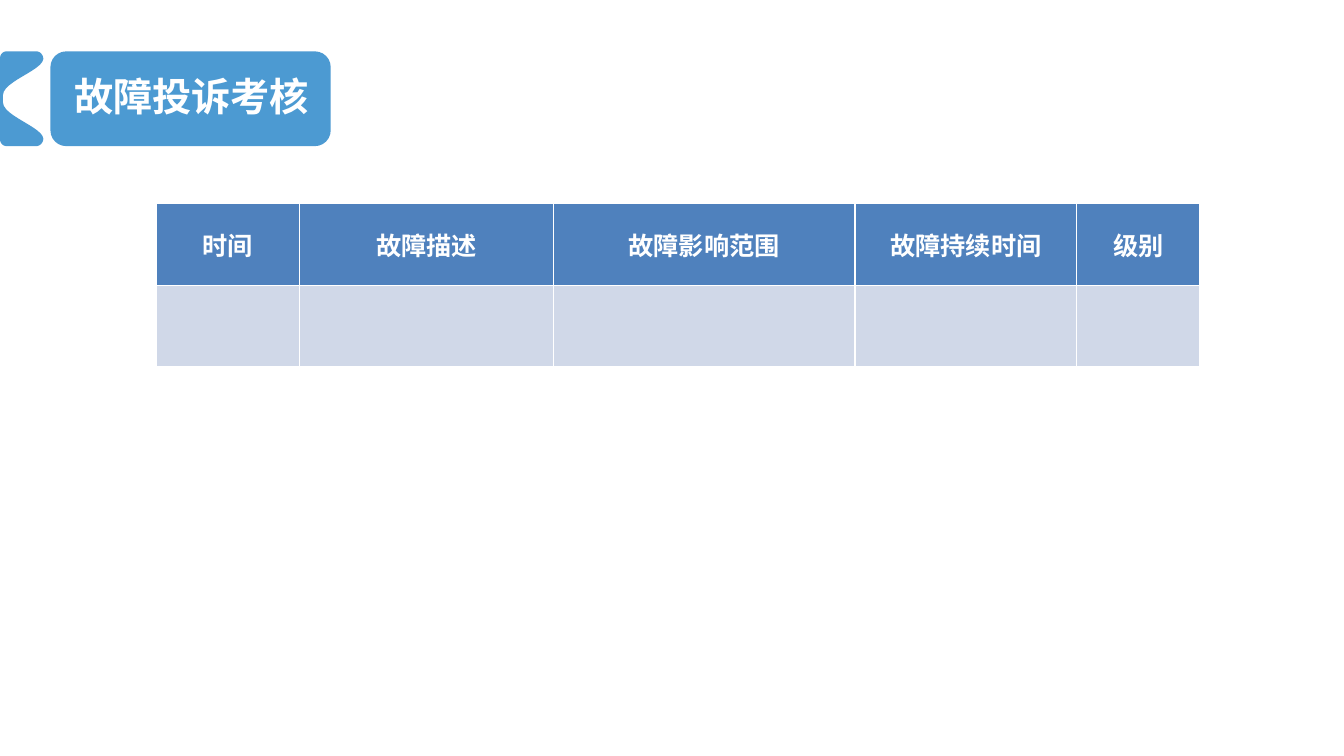
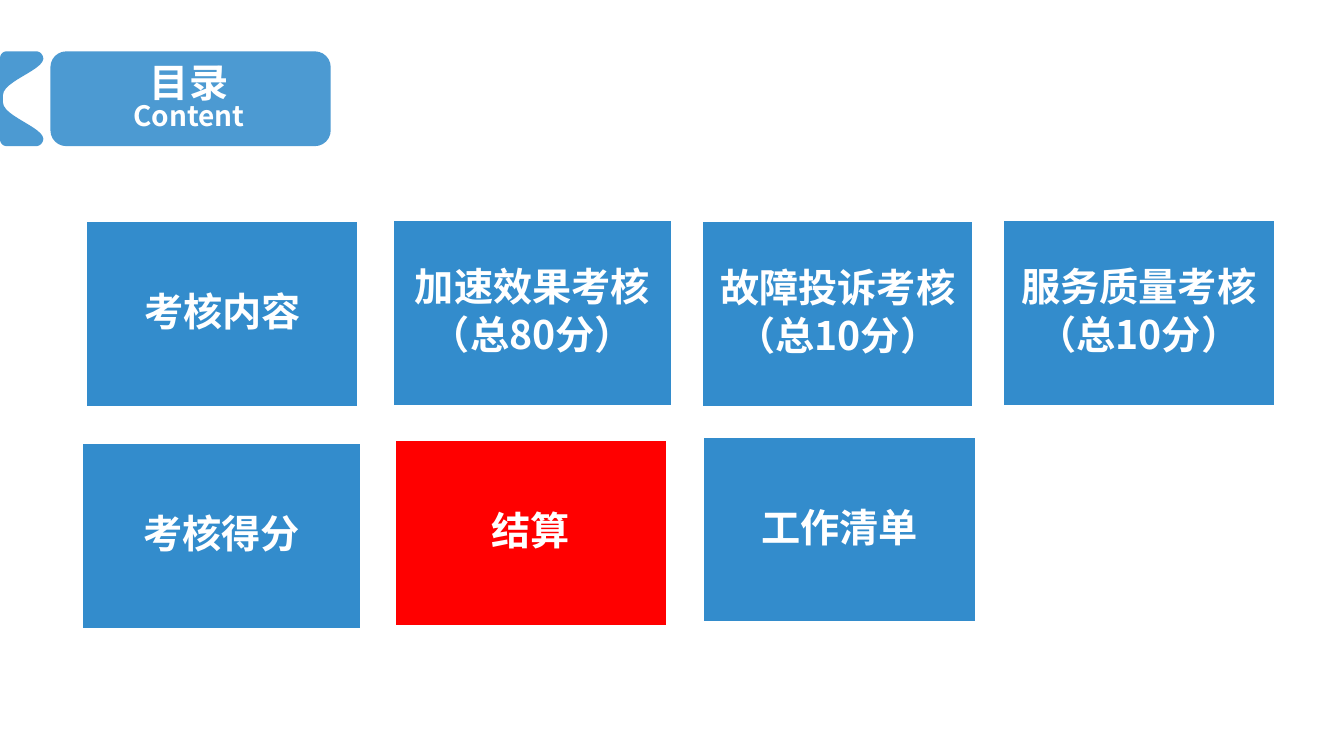
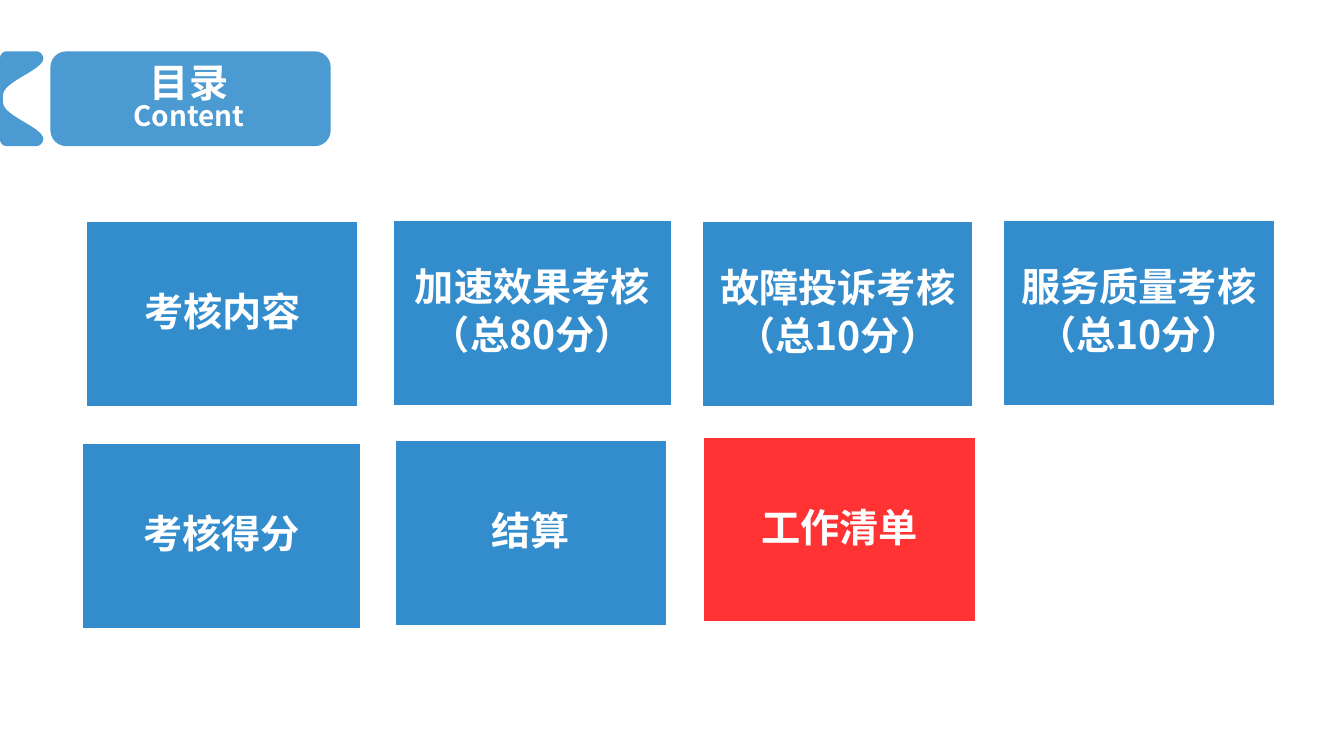
from lxml.etree import SubElement
from pptx import Presentation
from pptx.dml.color import RGBColor as RGB
from pptx.enum.shapes import MSO_SHAPE as SHAPE
from pptx.enum.text import MSO_ANCHOR as ANCHOR, PP_ALIGN as ALIGN
from pptx.oxml.ns import qn
from pptx.util import Inches, Pt

BLUE = RGB(0x00, 0x70, 0xC0)
RED = RGB(0xFF, 0x00, 0x00)
WHITE = RGB(0xFF, 0xFF, 0xFF)
HEAD = RGB(0x4F, 0x81, 0xBD)
PALE = RGB(0xD0, 0xD8, 0xE8)
FONT = "Noto Sans CJK SC"

# Boxes are left, top, width, height in inches
BADGE = (0.5, 0.51, 2.78, 0.94)
NOTCH = (0, 0.51, 0.43, 0.94)
TITLE = (0.52, 0.52, 2.71, 0.94)
WIDE = (0.13, 0.68, 3.54, 0.55)
TABLE = (1.55, 2.02, 10.35, 1.62)
SHARES = (1.42, 2.52, 2.99, 2.2, 1.22)
FIELDS = ("时间", "故障描述", "故障影响范围", "故障持续时间", "级别")
TALL = 1.85
TILES = (
    ("考核内容", (0.85, 2.19, 2.71, TALL)),
    ("加速效果考核\n（总80分）", (3.89, 2.18, 2.78, TALL)),
    ("故障投诉考核\n（总10分）", (6.96, 2.19, 2.7, TALL)),
    ("服务质量考核\n（总10分）", (9.94, 2.18, 2.71, TALL)),
    ("考核得分", (0.81, 4.39, 2.78, TALL)),
    ("结算", (3.91, 4.36, 2.71, TALL)),
    ("工作清单", (6.97, 4.33, 2.71, TALL)),
)
# Upper half of the notch outline: cubic curves as shares of its box
CURVES = (
    ((0, 0.08), (0, 0.03), (0.07, 0), (0.16, 0)),
    ((0.84, 0), (0.91, 0), (1, 0.03), (1, 0.08)),
    ((1, 0.08), (0.98, 0.2), (0.07, 0.32), (0.07, 0.46)),
)


def place(item, box):
    """Move an item to a box."""
    item.left, item.top, item.width, item.height = map(Inches, box)


def paint(shape, color, alpha=100):
    """Fill a shape flatly, without line or shadow."""
    shape.shadow.inherit = False
    shape.fill.solid()
    shape.fill.fore_color.rgb = color
    shape.line.fill.background()
    if alpha < 100:
        tint = shape.element.spPr.find(qn("a:solidFill"))[0]
        SubElement(tint, qn("a:alpha"), val=str(alpha * 1000))


def style(para, size):
    """Centre a paragraph in bold white."""
    para.alignment = ALIGN.CENTER
    font = para.font
    font.name, font.size, font.bold = FONT, Pt(size), True
    font.color.rgb = WHITE


def bend(curve, steps=12):
    """Return points along a cubic curve."""
    spots = []
    for step in range(steps + 1):
        t = step / steps
        u = 1 - t
        rates = (u ** 3, 3 * u * u * t, 3 * u * t * t, t ** 3)
        spots.append(tuple(sum(r * p[axis] for r, p in zip(rates, curve))
                           for axis in (0, 1)))
    return spots


def notch(shapes, box):
    """Draw the side flag, its lower half mirroring the upper."""
    left, top, width, height = box
    half = [spot for curve in CURVES for spot in bend(curve)]
    full = half + [(x, 1 - y) for x, y in reversed(half)]
    spots = [(Inches(left + x * width), Inches(top + y * height))
             for x, y in full]
    pen = shapes.build_freeform(*spots[0], scale=1)
    pen.add_line_segments(spots[1:], close=True)
    return pen.convert_to_shape()


def banner(layout, slide):
    """Give the layout its badge, side flag and title place."""
    badge = slide.shapes.add_shape(SHAPE.FLOWCHART_ALTERNATE_PROCESS,
                                   *map(Inches, BADGE))
    flag = notch(slide.shapes, NOTCH)
    for rank, part in enumerate((badge, flag)):
        paint(part, BLUE, 70)
        part.element.nvSpPr.cNvPr.set("id", str(90 + rank))
        layout.shapes.element.insert(2 + rank, part.element)
    place(layout.placeholders[0], TITLE)


def title(slide, text, sub=None):
    """Write the title, with a smaller second line if given."""
    para = slide.shapes.title.text_frame.paragraphs[0]
    para.add_run().text = text
    style(para, 28)
    if sub:
        para.line_spacing = 0.8
        para.add_line_break()
        run = para.add_run()
        run.text = sub
        run.font.size = Pt(20)


def grid(slide, box):
    """Add the fault table: a header and one empty row."""
    table = slide.shapes.add_table(2, len(FIELDS), *map(Inches, box)).table
    for col, share in zip(table.columns, SHARES):
        col.width = Inches(box[2] * share / sum(SHARES))
    for cells, color in zip(table.rows, (HEAD, PALE)):
        for cell in cells.cells:
            cell.fill.solid()
            cell.fill.fore_color.rgb = color
    for cell, name in zip(table.rows[0].cells, FIELDS):
        cell.text = name
        cell.vertical_anchor = ANCHOR.MIDDLE
        cell.margin_left = cell.margin_right = cell.margin_top = Inches(0.01)
        cell.margin_bottom = 0
        style(cell.text_frame.paragraphs[0], 18)


def tile(slide, box, text, color, alpha):
    """Add one contents tile."""
    shape = slide.shapes.add_shape(SHAPE.RECTANGLE, *map(Inches, box))
    paint(shape, color, alpha)
    shape.line.color.rgb = WHITE
    shape.line.width = Pt(2)
    frame = shape.text_frame
    frame.text = text
    frame.word_wrap = True
    frame.vertical_anchor = ANCHOR.MIDDLE
    frame.margin_left = frame.margin_right = Inches(0.15)
    frame.margin_top = frame.margin_bottom = Inches(0.15)
    for para in frame.paragraphs:
        style(para, 28)
        para.line_spacing = 0.9
        para.space_after = Pt(4)


def index(slide, chosen, alpha):
    """Fill a contents slide, with the chosen tile in red."""
    title(slide, "目录", "Content")
    for text, box in TILES:
        look = (RED, alpha) if text == chosen else (BLUE, 80)
        tile(slide, box, text, *look)


def faults(slide):
    """Fill the fault review slide."""
    place(slide.shapes.title, WIDE)
    title(slide, "故障投诉考核")
    grid(slide, TABLE)


def main():
    """Build and save the deck."""
    deck = Presentation()
    deck.slide_width, deck.slide_height = Inches(13.33), Inches(7.5)
    layout = deck.slide_layouts[5]
    first, second, third = (deck.slides.add_slide(layout) for _ in range(3))
    banner(layout, first)
    faults(first)
    index(second, "结算", 100)
    index(third, "工作清单", 80)
    for slide in deck.slides:
        for latin in list(slide.element.iter(qn("a:latin"))):
            east = SubElement(latin.getparent(), qn("a:ea"), typeface=FONT)
            latin.addnext(east)
    deck.save("out.pptx")


main()
